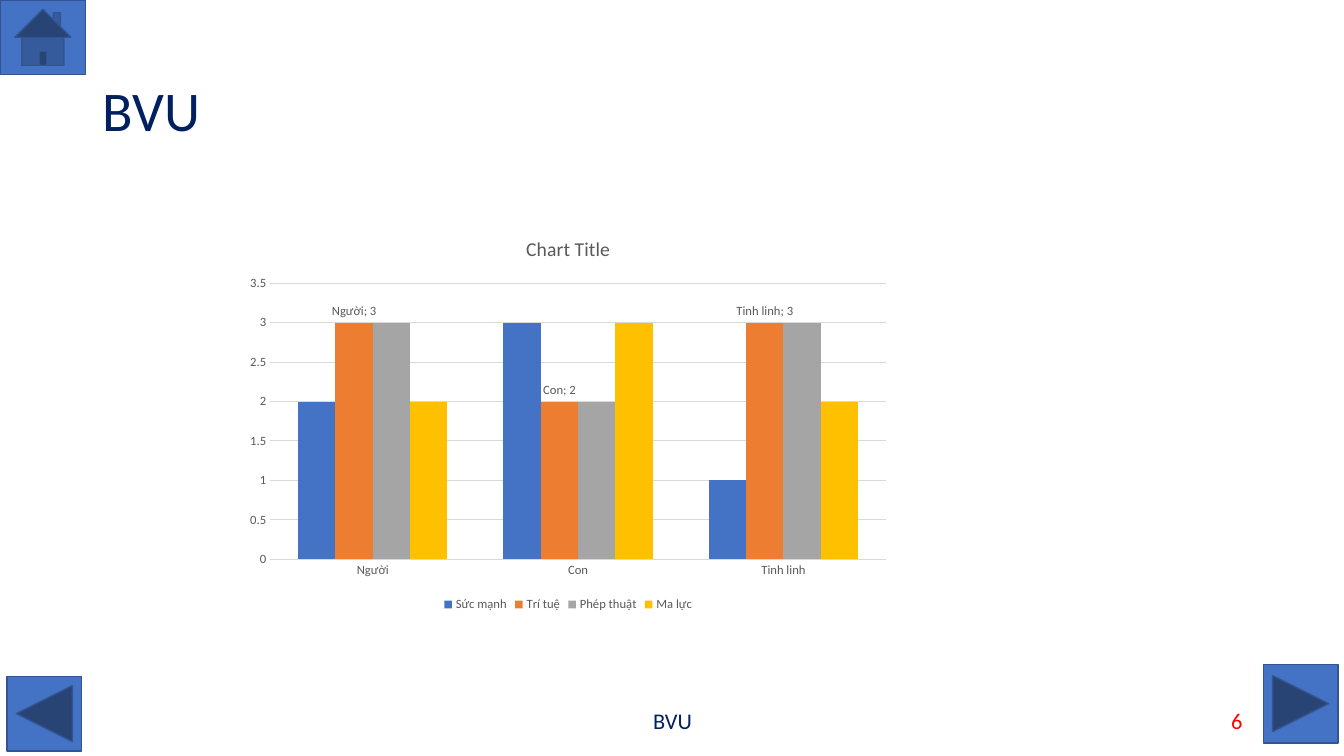
from dataclasses import dataclass

from lxml import etree
from pptx import Presentation
from pptx.chart.data import CategoryChartData
from pptx.dml.color import RGBColor
from pptx.enum.chart import XL_CHART_TYPE, XL_LABEL_POSITION, XL_LEGEND_POSITION, XL_TICK_MARK
from pptx.enum.shapes import MSO_SHAPE as Shape
from pptx.enum.text import MSO_ANCHOR as Anchor, PP_ALIGN as Align
from pptx.oxml.ns import qn
from pptx.util import Inches, Pt


@dataclass(frozen=True)
class Theme:
    face: str = "Calibri"
    navy: str = "002060"
    red: str = "FF0000"
    button: str = "4472C4"
    button_edge: str = "325491"
    chart_text: str = "595959"
    grid: str = "D9D9D9"
    series: tuple = ("4472C4", "ED7D31", "A5A5A5", "FFC000")
    title_size: int = 40
    footer_size: int = 16
    chart_title_size: int = 14
    chart_size: int = 9


THEME = Theme()
RACES = ("Người", "Con", "Tinh linh")
TRAITS = {
    "Sức mạnh": (2, 3, 1),
    "Trí tuệ": (3, 2, 3),
    "Phép thuật": (3, 2, 3),
    "Ma lực": (2, 3, 2),
}
LABELLED_TRAIT = "Trí tuệ"


def rgb(color):
    return RGBColor.from_string(color)


def style_font(font, size, color):
    font.name = THEME.face
    font.size = Pt(size)
    font.bold = False
    font.color.rgb = rgb(color)


def add_nav_button(slide, kind, box):
    button = slide.shapes.add_shape(kind, *map(Inches, box))
    button.shadow.inherit = False
    button.fill.solid()
    button.fill.fore_color.rgb = rgb(THEME.button)
    button.line.color.rgb = rgb(THEME.button_edge)
    button.line.width = Pt(1)


def add_text(slide, box, text, size, color, align=Align.LEFT, spacing=1.0):
    frame = slide.shapes.add_textbox(*map(Inches, box)).text_frame
    frame.word_wrap = True
    frame.vertical_anchor = Anchor.MIDDLE
    line = frame.paragraphs[0]
    line.text = text
    line.alignment = align
    line.line_spacing = spacing
    style_font(line.font, size, color)


def add_footer(slide, box):
    """Centre the school's name in the box and put the slide number to its right."""
    left, top, width, height = box
    add_text(slide, box, "BVU", THEME.footer_size, THEME.navy, Align.CENTER)
    number_box = (left + width + 0.5, top, 3, height)
    add_text(slide, number_box, "6", THEME.footer_size, THEME.red, Align.RIGHT)


def style_axis(axis):
    axis.major_tick_mark = axis.minor_tick_mark = XL_TICK_MARK.NONE
    axis.format.line.fill.background()
    style_font(axis.tick_labels.font, THEME.chart_size, THEME.chart_text)


def label_series(series):
    """Show category and value above each column, parted by a semicolon."""
    labels = series.data_labels
    labels.show_value = labels.show_category_name = True
    labels.position = XL_LABEL_POSITION.OUTSIDE_END
    style_font(labels.font, THEME.chart_size, THEME.chart_text)
    separator = etree.Element(qn("c:separator"))
    separator.text = "; "
    labels._element.find(qn("c:showBubbleSize")).addnext(separator)


def add_trait_chart(slide, box):
    data = CategoryChartData()
    data.categories = RACES
    for trait, values in TRAITS.items():
        data.add_series(trait, values)
    chart = slide.shapes.add_chart(
        XL_CHART_TYPE.COLUMN_CLUSTERED, *map(Inches, box), data).chart
    style_font(chart.font, THEME.chart_size, THEME.chart_text)

    chart.has_title = True
    heading = chart.chart_title.text_frame.paragraphs[0]
    heading.text = "Chart Title"
    style_font(heading.font, THEME.chart_title_size, THEME.chart_text)
    chart.chart_title.include_in_layout = False

    chart.has_legend = True
    chart.legend.position = XL_LEGEND_POSITION.BOTTOM
    chart.legend.include_in_layout = False
    style_font(chart.legend.font, THEME.chart_size, THEME.chart_text)

    style_axis(chart.category_axis)
    style_axis(chart.value_axis)
    grid_line = chart.value_axis.major_gridlines.format.line
    grid_line.color.rgb = rgb(THEME.grid)
    grid_line.width = Pt(0.75)

    plot = chart.plots[0]
    plot.gap_width = 150
    plot.overlap = 0
    plot.vary_by_categories = False
    for series, color in zip(plot.series, THEME.series):
        series.format.fill.solid()
        series.format.fill.fore_color.rgb = rgb(color)
        if series.name == LABELLED_TRAIT:
            label_series(series)


def build_chart_slide(deck):
    slide = deck.slides.add_slide(deck.slide_layouts[6])
    add_nav_button(slide, Shape.ACTION_BUTTON_FORWARD_OR_NEXT, (12.53, 6.59, 0.74, 0.78))
    add_nav_button(slide, Shape.ACTION_BUTTON_BACK_OR_PREVIOUS, (0.07, 6.71, 0.74, 0.74))
    add_nav_button(slide, Shape.ACTION_BUTTON_HOME, (0, 0, 0.85, 0.74))
    add_text(slide, (0.92, 0.4, 11.5, 1.45), "BVU", THEME.title_size, THEME.navy, spacing=0.9)
    add_footer(slide, (4.42, 6.95, 4.5, 0.4))
    add_trait_chart(slide, (2.35, 2.17, 6.57, 3.94))


def main():
    deck = Presentation()
    deck.slide_width, deck.slide_height = Inches(13.33), Inches(7.5)
    build_chart_slide(deck)
    deck.save("out.pptx")


if __name__ == "__main__":
    main()
